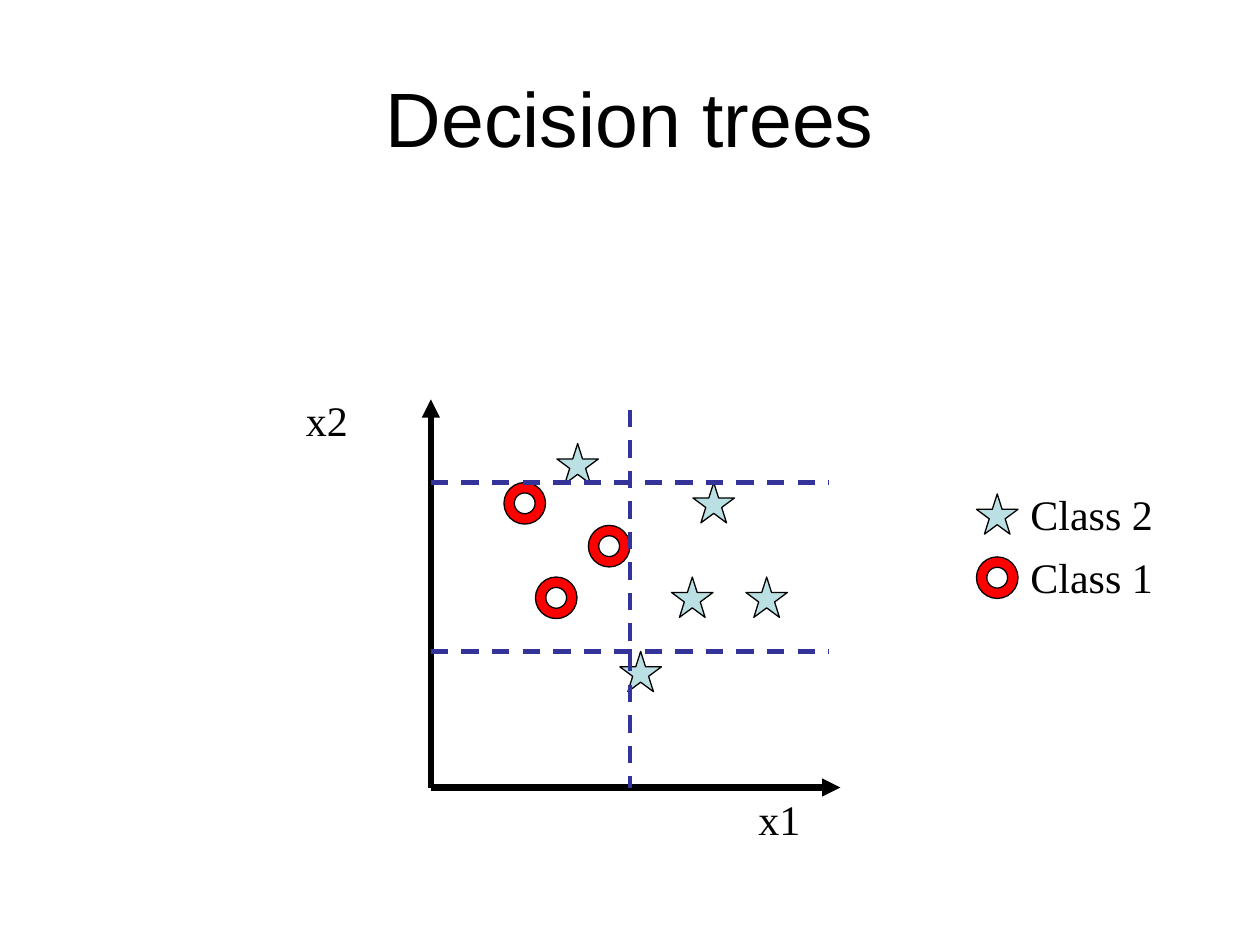
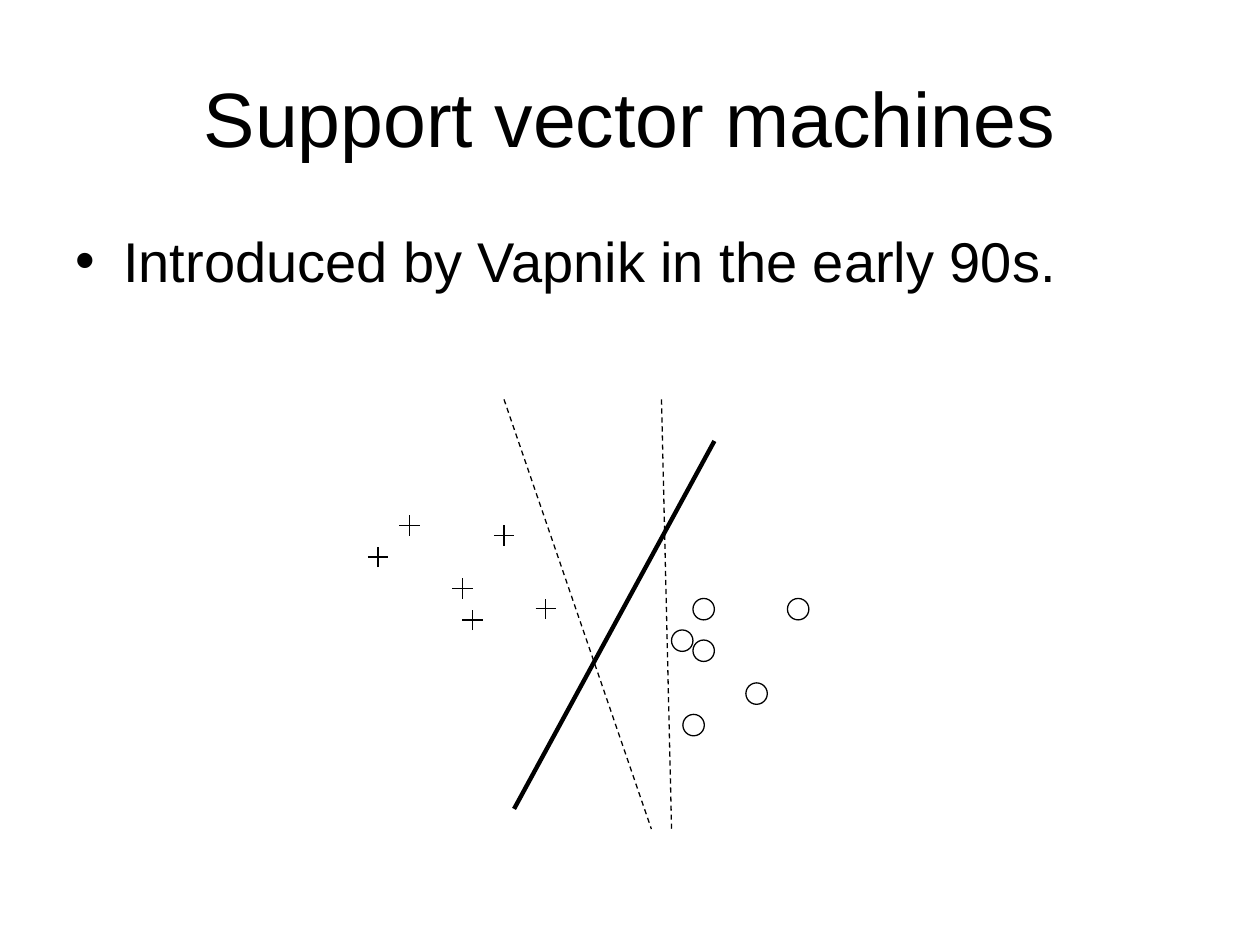
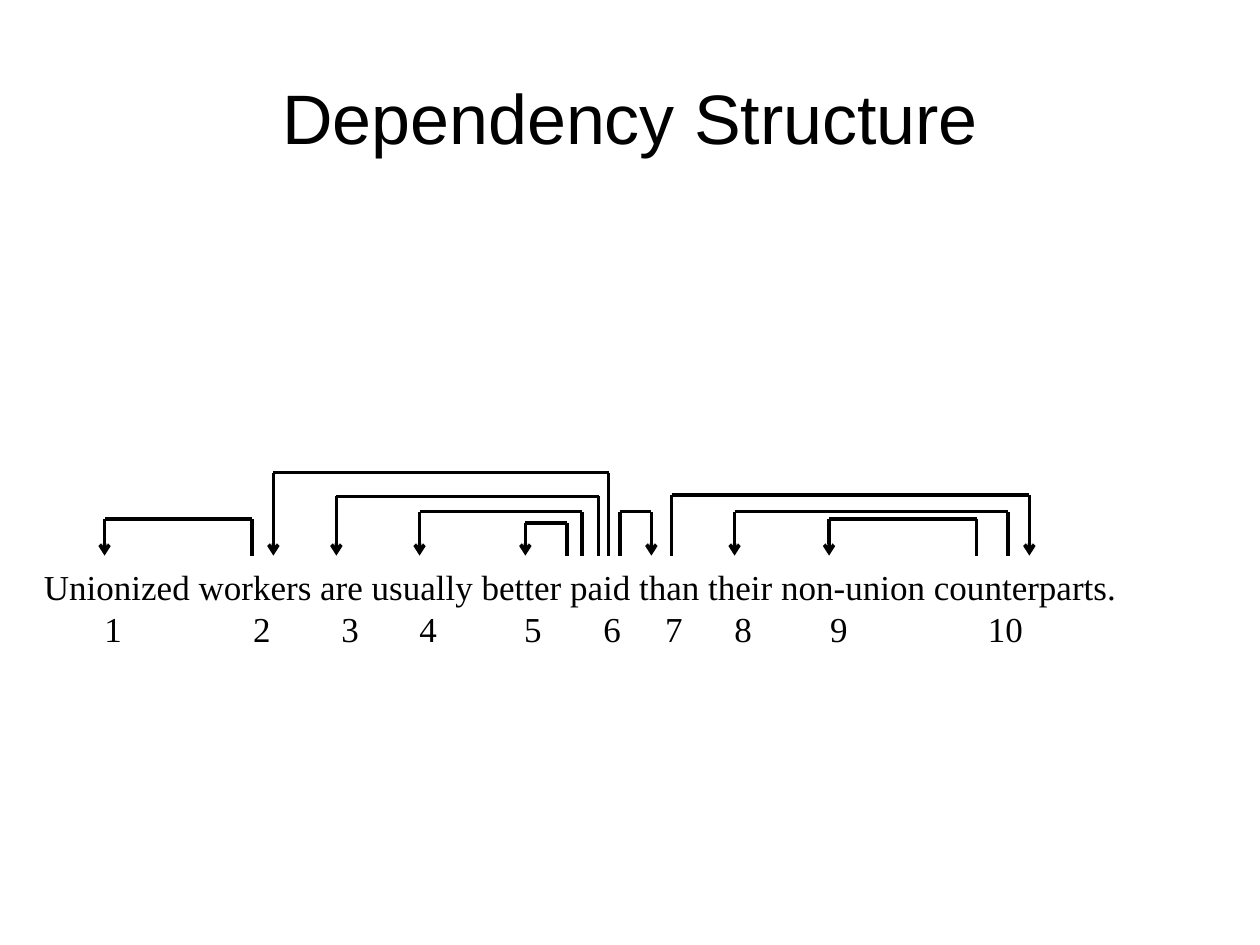
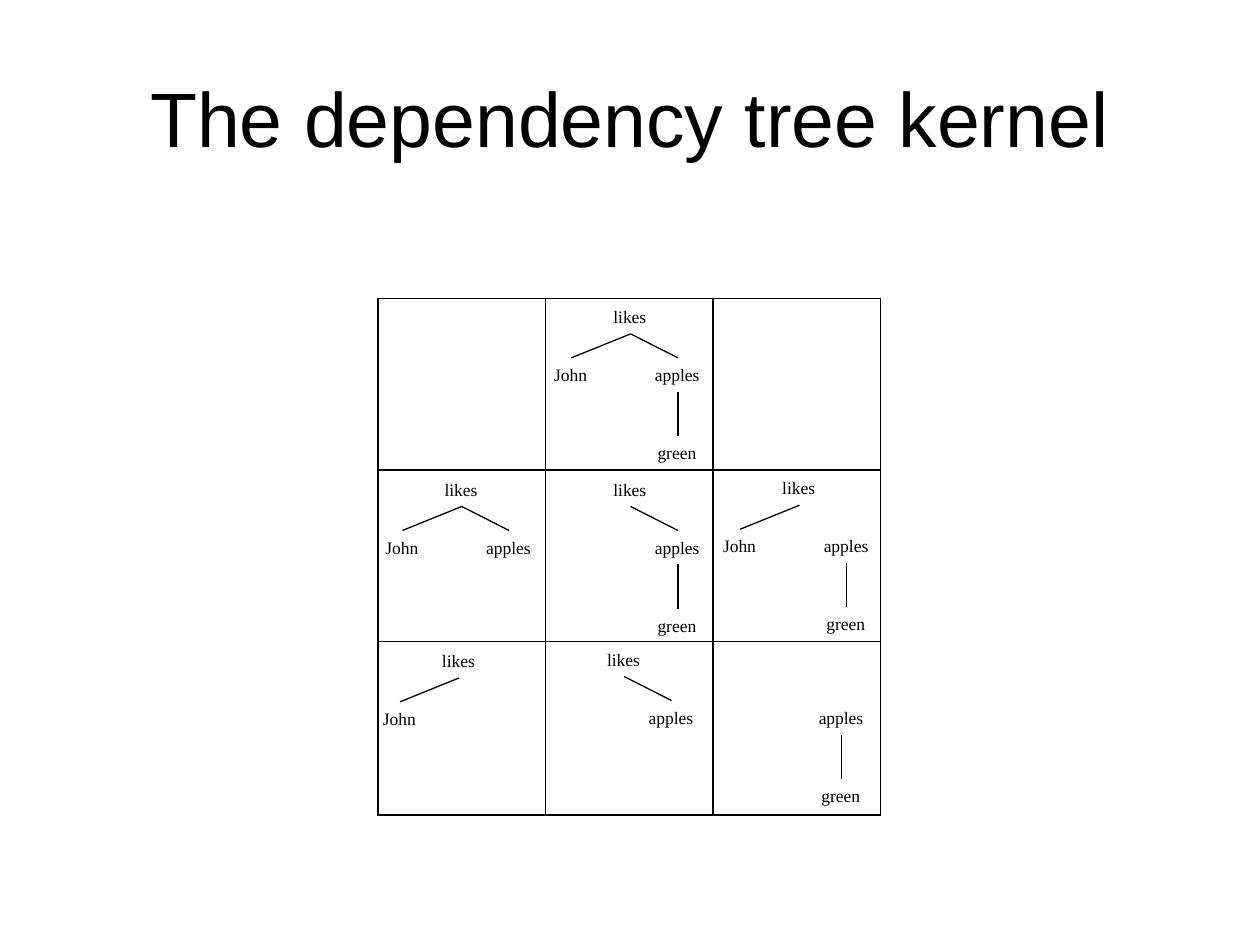
from itertools import pairwise

from lxml.etree import SubElement
from pptx import Presentation
from pptx.dml.color import RGBColor
from pptx.enum.dml import MSO_LINE
from pptx.enum.shapes import MSO_CONNECTOR, MSO_SHAPE
from pptx.enum.text import MSO_ANCHOR, MSO_AUTO_SIZE, PP_ALIGN
from pptx.oxml import parse_xml
from pptx.oxml.ns import nsdecls, qn
from pptx.util import Inches, Pt

BLACK = "000000"
STAR_FILL = "BBE0E3"
RING_FILL = "FF0000"
SPLIT_LINE = "333399"
SANS = "Arial"
SERIF = "Times New Roman"
TOP, BOTTOM = 0, 2


def rgb(colour):
    return RGBColor.from_string(colour)


class Deck:
    def __init__(self):
        self.presentation = Presentation()
        self.presentation.slide_width = Inches(10)
        self.presentation.slide_height = Inches(7.5)
        self.slide = None

    def add_slide(self, title, size=44):
        self.slide = self.presentation.slides.add_slide(self.presentation.slide_layouts[5])
        heading = self.slide.shapes.title
        heading.left, heading.top = Inches(0.5), Inches(0.3)
        heading.width, heading.height = Inches(9), Inches(1.25)
        frame = heading.text_frame
        frame.text = title
        frame.word_wrap = True
        frame.vertical_anchor = MSO_ANCHOR.MIDDLE
        frame.paragraphs[0].alignment = PP_ALIGN.CENTER
        self.style(frame.paragraphs[0], SANS, size)

    def style(self, paragraph, font, size):
        for run in paragraph.runs:
            run.font.name = font
            run.font.size = Pt(size)
            run.font.color.rgb = rgb(BLACK)

    def text(self, words, left, top, width, height, size, font=SERIF, wrap=False):
        box = self.slide.shapes.add_textbox(Inches(left), Inches(top), Inches(width), Inches(height))
        frame = box.text_frame
        frame.text = words
        frame.word_wrap = wrap
        frame.auto_size = MSO_AUTO_SIZE.SHAPE_TO_FIT_TEXT
        for paragraph in frame.paragraphs:
            self.style(paragraph, font, size)
        return box

    def bullet(self, words, left, top, width, height, size):
        box = self.text(words, left, top, width, height, size, SANS, wrap=True)
        properties = box.text_frame.paragraphs[0]._p.get_or_add_pPr()
        properties.set("marL", str(Inches(0.38)))
        properties.set("indent", str(-Inches(0.38)))
        SubElement(properties, qn("a:buFont"), typeface=SANS)
        SubElement(properties, qn("a:buChar"), char="•")

    def tab_stops(self, paragraph, centres):
        stops = SubElement(paragraph._p.get_or_add_pPr(), qn("a:tabLst"))
        for centre in centres:
            SubElement(stops, qn("a:tab"), pos=str(Inches(centre)), algn="ctr")

    def shape(self, kind, left, top, width, height, fill=None):
        figure = self.slide.shapes.add_shape(kind, Inches(left), Inches(top), Inches(width), Inches(height))
        figure.shadow.inherit = False
        if fill:
            figure.fill.solid()
            figure.fill.fore_color.rgb = rgb(fill)
        else:
            figure.fill.background()
        figure.line.color.rgb = rgb(BLACK)
        figure.line.width = Pt(0.75)
        return figure

    def star(self, left, top):
        self.shape(MSO_SHAPE.STAR_5_POINT, left, top, 0.33, 0.32, STAR_FILL)

    def ring(self, left, top):
        self.shape(MSO_SHAPE.DONUT, left, top, 0.33, 0.33, RING_FILL).adjustments[0] = 0.25

    def line(self, start, end, width=0.75, colour=BLACK, dashed=False, arrow=None, group=None):
        shapes = (group or self.slide).shapes
        connector = shapes.add_connector(MSO_CONNECTOR.STRAIGHT, *map(Inches, (*start, *end)))
        connector.line.color.rgb = rgb(colour)
        connector.line.width = Pt(width)
        if dashed:
            connector.line.dash_style = MSO_LINE.DASH
        if arrow:
            SubElement(connector.line._get_or_add_ln(), qn("a:tailEnd"), type=arrow)
        SubElement(connector._element.spPr, qn("a:effectLst"))
        return connector

    def plus(self, x, y, arm=0.08):
        group = self.slide.shapes.add_group_shape()
        self.line((x, y + arm), (x, y - arm), group=group)
        self.line((x - arm, y), (x + arm, y), group=group)

    def arc(self, head_x, dependent_x, top, base=4.41):
        corners = [(head_x, base), (head_x, top), (dependent_x, top), (dependent_x, base)]
        for start, end in pairwise(corners):
            self.line(start, end, 2, arrow="arrow" if end == corners[-1] else None)

    def grid(self, left, top, column_width, row_heights, columns):
        frame = self.slide.shapes.add_table(
            len(row_heights), columns, Inches(left), Inches(top),
            Inches(column_width * columns), Inches(sum(row_heights)))
        table = frame.table
        table.first_row = table.horz_banding = False
        for column in table.columns:
            column.width = Inches(column_width)
        for row, height in zip(table.rows, row_heights):
            row.height = Inches(height)
        for cell in table.iter_cells():
            cell.fill.background()
            properties = cell._tc.get_or_add_tcPr()
            for position, side in enumerate("LRTB"):
                properties.insert(position, parse_xml(
                    f'<a:ln{side} {nsdecls("a")} w="{Pt(1)}"><a:solidFill>'
                    f'<a:srgbClr val="{BLACK}"/></a:solidFill></a:ln{side}>'))

    def tree(self, left, top, edges):
        places = {
            "likes": (0, 0, 0.47),
            "John": (-0.47, 0.46, 0.47),
            "apples": (0.33, 0.46, 0.56),
            "green": (0.35, 1.08, 0.52),
        }
        used = {word for edge in edges for word in edge}
        nodes = {
            word: self.text(word, left + dx, top + dy, width, 0.27, 10)
            for word, (dx, dy, width) in places.items() if word in used
        }
        for parent, child in edges:
            branch = self.line((left, top), (left, top))
            branch.begin_connect(nodes[parent], BOTTOM)
            branch.end_connect(nodes[child], TOP)


def decision_trees(deck):
    deck.add_slide("Decision trees")
    origin = (3.42, 6.25)
    for axis_end in [(3.42, 3.17), (6.67, 6.25)]:
        deck.line(origin, axis_end, 3.5, arrow="triangle")
    for left, top in [(4.42, 3.52), (5.33, 4.58), (5.92, 4.58), (5.5, 3.83), (4.92, 5.17)]:
        deck.star(left, top)
    for left, top in [(4.67, 4.17), (4.25, 4.58), (4, 3.83)]:
        deck.ring(left, top)
    splits = [((5, 3.25), (5, 6.25))] + [((3.42, y), (6.58, y)) for y in (3.83, 5.17)]
    for start, end in splits:
        deck.line(start, end, 2.5, SPLIT_LINE, dashed=True)
    deck.star(7.75, 3.92)
    deck.ring(7.75, 4.42)
    deck.text("x1", 5.92, 6.25, 0.53, 0.5, 24)
    deck.text("x2", 2.33, 3.08, 0.53, 0.5, 24)
    deck.text("Class 2", 8.08, 3.83, 1.18, 0.5, 24)
    deck.text("Class 1", 8.08, 4.33, 1.18, 0.5, 24)


def support_vector_machines(deck):
    deck.add_slide("Support vector machines")
    deck.bullet("Introduced by Vapnik in the early 90s.", 0.5, 1.75, 9, 0.82, 32)
    deck.line((4.08, 6.42), (5.67, 3.5), 2.5)
    for x, y in [(3.25, 4.17), (4.33, 4.83), (4, 4.25), (3.67, 4.67), (3.75, 4.92), (3, 4.42)]:
        deck.plus(x, y)
    for left, top in [(6.25, 4.75), (5.33, 5), (5.5, 5.08), (5.92, 5.42), (5.42, 5.67), (5.5, 4.75)]:
        deck.shape(MSO_SHAPE.OVAL, left, top, 0.17, 0.17)
    deck.line((4, 3.17), (5.17, 6.58), dashed=True)
    deck.line((5.25, 3.17), (5.33, 6.58), dashed=True)


def dependency_structure(deck):
    deck.add_slide("Dependency Structure", 40)
    sentence = "Unionized workers are usually better paid than their non-union counterparts."
    word_centres = [0.55, 1.73, 2.43, 3.05, 3.88, 4.51, 5, 5.55, 6.31, 7.63]
    numbers = "".join(f"\t{number}" for number in range(1, len(word_centres) + 1))
    box = deck.text(f"{sentence}\n{numbers}", 0.25, 4.44, 8.75, 0.77, 20, wrap=True)
    deck.tab_stops(box.text_frame.paragraphs[1], word_centres)
    for head_x, dependent_x, top in [
        (2, 0.83, 4.12), (7.75, 6.58, 4.12), (8, 5.83, 4.06),
        (5.33, 8.17, 3.93), (4.92, 5.17, 4.06), (4.5, 4.17, 4.15),
        (4.62, 3.33, 4.06), (4.75, 2.67, 3.94), (4.83, 2.17, 3.75),
    ]:
        deck.arc(head_x, dependent_x, top)


def dependency_tree_kernel(deck):
    deck.add_slide("The dependency tree kernel")
    deck.grid(3, 2.37, 1.33, [1.36, 1.36, 1.38], 3)
    subject, verb_object, modifier = ("likes", "John"), ("likes", "apples"), ("apples", "green")
    for left, top, edges in [
        (4.77, 2.38, [subject, verb_object, modifier]),
        (3.43, 3.75, [subject, verb_object]),
        (4.77, 3.75, [verb_object, modifier]),
        (6.11, 3.74, [subject, modifier]),
        (3.41, 5.11, [subject]),
        (4.72, 5.1, [verb_object]),
        (6.07, 5.1, [modifier]),
    ]:
        deck.tree(left, top, edges)


def main():
    deck = Deck()
    decision_trees(deck)
    support_vector_machines(deck)
    dependency_structure(deck)
    dependency_tree_kernel(deck)
    deck.presentation.save("out.pptx")


if __name__ == "__main__":
    main()
